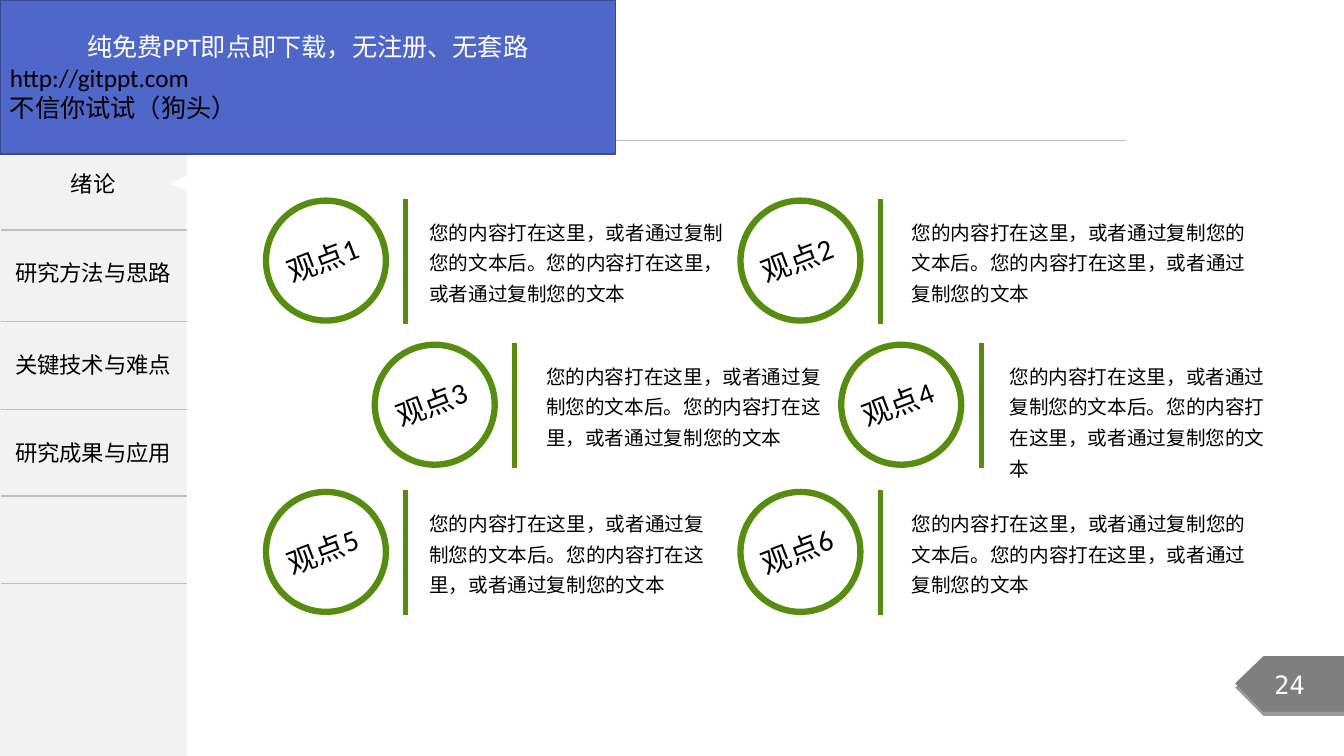
from lxml import etree
from pptx import Presentation
from pptx.dml.color import RGBColor
from pptx.enum.shapes import MSO_CONNECTOR, MSO_SHAPE
from pptx.enum.text import MSO_ANCHOR, PP_ALIGN
from pptx.oxml.ns import qn
from pptx.util import Pt

PX = 9144  # 100 px to the inch
RECTANGLE, OVAL = MSO_SHAPE.RECTANGLE, MSO_SHAPE.OVAL
TRIANGLE = MSO_SHAPE.ISOSCELES_TRIANGLE
STRAIGHT = MSO_CONNECTOR.STRAIGHT
TOP, MIDDLE = MSO_ANCHOR.TOP, MSO_ANCHOR.MIDDLE
LEFT, CENTER = PP_ALIGN.LEFT, PP_ALIGN.CENTER

LATIN_FONT, CJK_FONT = "Calibri", "Noto Sans CJK SC"
WHITE, BLACK, GREEN = "FFFFFF", "000000", "568D11"
PANEL_GRAY, RULE_GRAY, TAG_GRAY = "F2F2F2", "BFBFBF", "7F7F7F"
BANNER_BLUE, BANNER_EDGE = "4E67C8", "374A92"

SIDEBAR_WIDTH = 185
SECTIONS = [("绪论", 139), ("研究方法与思路", 227),
            ("关键技术与难点", 319), ("研究成果与应用", 406)]
SECTION_RULES = [228, 319, 406, 492, 579]

BANNER_LINES = [("纯免费PPT即点即下载，无注册、无套路", WHITE, CENTER),
                ("http://gitppt.com", BLACK, LEFT),
                ("不信你试试（狗头）", BLACK, LEFT)]

BODY = "您的内容打在这里，或者通过复制您的文本后。您的内容打在这里，或者通过复制您的文本"
# circle left, circle top, text left, text width
VIEWPOINTS = [(264, 199, 417, 318), (735, 199, 896, 367),
              (372, 342, 533, 294), (835, 342, 993, 290),
              (264, 488, 417, 300), (735, 488, 896, 367)]
CIRCLE_SIZE = 119


def px(*lengths):
    return [length * PX for length in lengths]


def color(hex_string):
    return RGBColor.from_string(hex_string)


def paint(shape, fill, line=None, line_width=0.75):
    shape.shadow.inherit = False
    shape.fill.solid()
    shape.fill.fore_color.rgb = color(fill)
    if line:
        shape.line.color.rgb = color(line)
        shape.line.width = Pt(line_width)
    else:
        shape.line.fill.background()


def add_box(shapes, preset, box, fill, line=None, line_width=0.75):
    shape = shapes.add_shape(preset, *px(*box))
    paint(shape, fill, line, line_width)
    return shape


def add_rule(shapes, left, right, y, width):
    rule = shapes.add_connector(STRAIGHT, *px(left, y, right, y))
    rule.line.color.rgb = color(RULE_GRAY)
    rule.line.width = Pt(width)
    etree.SubElement(rule._element.spPr, qn("a:effectLst"))


def fill_paragraph(paragraph, text, size, font_name=CJK_FONT, font_color=BLACK,
                   align=CENTER, spacing=1.0):
    paragraph.text = text
    paragraph.alignment = align
    paragraph.line_spacing = spacing
    paragraph.font.name = font_name
    paragraph.font.size = Pt(size)
    paragraph.font.color.rgb = color(font_color)
    defaults = paragraph._p.pPr.find(qn("a:defRPr"))
    etree.SubElement(defaults, qn("a:ea"), typeface=CJK_FONT)


def prepare_frame(shape, anchor=MIDDLE, insets=(10, 5)):
    frame = shape.text_frame
    frame.word_wrap = True
    frame.vertical_anchor = anchor
    frame.margin_left = frame.margin_right = insets[0] * PX
    frame.margin_top = frame.margin_bottom = insets[1] * PX
    return frame


def add_text(shapes, box, text, size, anchor=MIDDLE, insets=(10, 5), **style):
    text_box = shapes.add_textbox(*px(*box))
    frame = prepare_frame(text_box, anchor, insets)
    fill_paragraph(frame.paragraphs[0], text, size, **style)
    return text_box


def add_bottom_shadow(shape):
    effects = shape._element.spPr.find(qn("a:effectLst"))
    shadow = etree.SubElement(effects, qn("a:outerShdw"), blurRad="0",
                              dist=str(Pt(3)), dir="5400000", rotWithShape="0")
    shade = etree.SubElement(shadow, qn("a:srgbClr"), val=BLACK)
    etree.SubElement(shade, qn("a:alpha"), val="40000")


def add_page_tag(shapes, number):
    builder = shapes.build_freeform(1334, 651, scale=PX)
    builder.add_line_segments([(1254, 651), (1226, 678), (1254, 706), (1334, 706)])
    tag = builder.convert_to_shape()
    paint(tag, TAG_GRAY)
    add_bottom_shadow(tag)
    fill_paragraph(prepare_frame(tag).paragraphs[0], number, 18,
                   font_name="DejaVu Sans Mono", font_color=WHITE)


def add_sidebar(shapes):
    add_box(shapes, RECTANGLE, (0, 0, SIDEBAR_WIDTH, 750), PANEL_GRAY)
    for y in SECTION_RULES:
        add_rule(shapes, 1, SIDEBAR_WIDTH + 1, y, 1)
    for title, top in SECTIONS:
        add_text(shapes, (0, top, SIDEBAR_WIDTH, 86), title, 16)
    marker = add_box(shapes, TRIANGLE, (169, 174, 16, 16), WHITE)
    marker.rotation = 270


def add_viewpoint(shapes, number, left, top, text_left, text_width):
    badge = shapes.add_group_shape().shapes
    add_box(badge, OVAL, (left, top, CIRCLE_SIZE, CIRCLE_SIZE), WHITE, GREEN, 4.5)
    label = add_text(badge, (left - 5, top + 36, 122, 45), f"观点{number}", 21,
                     font_name=LATIN_FONT, anchor=TOP)
    label.rotation = 338.9
    add_box(shapes, RECTANGLE, (left + 137, top - 1, 4, 123), GREEN, GREEN)
    add_text(shapes, (text_left, top + 9, text_width, 100), BODY, 14,
             align=LEFT, anchor=TOP, spacing=1.3, insets=(9, 4))


def add_banner(shapes):
    banner = add_box(shapes, RECTANGLE, (0, 0, 611, 153), BANNER_BLUE, BANNER_EDGE, 1)
    frame = prepare_frame(banner)
    for index, (text, font_color, align) in enumerate(BANNER_LINES):
        paragraph = frame.add_paragraph() if index else frame.paragraphs[0]
        fill_paragraph(paragraph, text, 18, LATIN_FONT, font_color, align)


def main():
    presentation = Presentation()
    presentation.slide_width, presentation.slide_height = px(1334, 750)
    slide = presentation.slides.add_slide(presentation.slide_layouts[6])
    shapes = slide.shapes
    add_sidebar(shapes)
    add_rule(shapes, 209, 1118, 139, 0.5)
    add_page_tag(shapes, "24")
    for number, viewpoint in enumerate(VIEWPOINTS, start=1):
        add_viewpoint(shapes, number, *viewpoint)
    add_banner(shapes)
    presentation.save("out.pptx")


if __name__ == "__main__":
    main()
